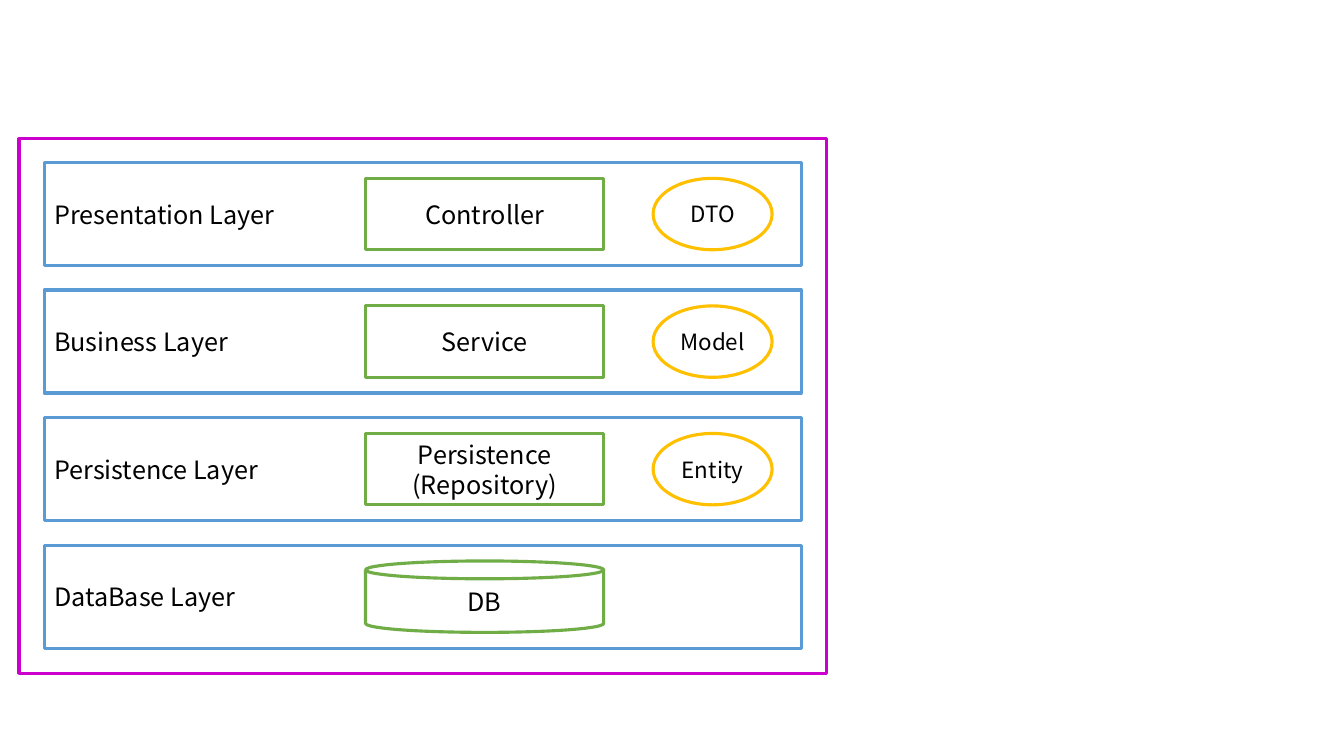
from dataclasses import dataclass

from pptx import Presentation
from pptx.dml.color import RGBColor
from pptx.enum.shapes import MSO_SHAPE
from pptx.enum.text import MSO_ANCHOR, MSO_AUTO_SIZE, PP_ALIGN
from pptx.util import Pt

RECTANGLE, CAN, ELLIPSE = MSO_SHAPE.RECTANGLE, MSO_SHAPE.CAN, MSO_SHAPE.OVAL
LEFT, CENTER = PP_ALIGN.LEFT, PP_ALIGN.CENTER
MIDDLE = MSO_ANCHOR.MIDDLE
SHRINK = MSO_AUTO_SIZE.TEXT_TO_FIT_SHAPE


@dataclass(frozen=True)
class Theme:
    """Colours, font and sizes of the slide."""
    font: str = "Noto Sans CJK KR"
    text: str = "000000"
    surface: str = "FFFFFF"
    frame: str = "CC00CC"
    layer: str = "5B9BD5"
    component: str = "70AD47"
    data: str = "FFC000"
    label_size: float = 18
    data_size: float = 16
    line_width: float = 2.25
    tight_inset: float = 2.83


def write_text(shape, text, *, theme, size, align=CENTER, inset=None, shrink=False):
    """Write one formatted paragraph into a shape."""
    frame = shape.text_frame
    frame.word_wrap = True
    frame.vertical_anchor = MIDDLE
    if shrink:
        frame.auto_size = SHRINK
    if inset is not None:
        frame.margin_left = frame.margin_right = Pt(inset)
        frame.margin_top = frame.margin_bottom = Pt(inset)
    paragraph = frame.paragraphs[0]
    paragraph.text = text
    paragraph.alignment = align
    for run in paragraph.runs:
        run.font.name = theme.font
        run.font.size = Pt(size)
        run.font.color.rgb = RGBColor.from_string(theme.text)


class LayerDiagram:
    """Draws the parts of the layer diagram on one slide."""

    def __init__(self, slide, theme):
        """Keep the slide and its style."""
        self.slide = slide
        self.theme = theme

    def outline(self, kind, box, color, filled=False):
        """Add an outlined shape at box, given in points."""
        shape = self.slide.shapes.add_shape(kind, *(Pt(length) for length in box))
        shape.shadow.inherit = False
        if filled:
            shape.fill.solid()
            shape.fill.fore_color.rgb = RGBColor.from_string(self.theme.surface)
        else:
            shape.fill.background()
        shape.line.color.rgb = RGBColor.from_string(color)
        shape.line.width = Pt(self.theme.line_width)
        return shape

    def frame(self, box):
        """Add the frame around all layers."""
        self.outline(RECTANGLE, box, self.theme.frame)

    def layer(self, text, box):
        """Add a layer band with its name on the left."""
        shape = self.outline(RECTANGLE, box, self.theme.layer)
        write_text(shape, text, theme=self.theme, size=self.theme.label_size, align=LEFT)

    def component(self, text, box):
        """Add a component box."""
        shape = self.outline(RECTANGLE, box, self.theme.component, filled=True)
        write_text(shape, text, theme=self.theme, size=self.theme.label_size,
                   inset=self.theme.tight_inset, shrink=True)

    def database(self, text, box):
        """Add a database cylinder."""
        shape = self.outline(CAN, box, self.theme.component, filled=True)
        write_text(shape, text, theme=self.theme, size=self.theme.label_size)

    def data_object(self, text, box):
        """Add the ellipse of a data object."""
        shape = self.outline(ELLIPSE, box, self.theme.data, filled=True)
        write_text(shape, text, theme=self.theme, size=self.theme.data_size,
                   inset=self.theme.tight_inset)


LAYERS = [
    ("Presentation Layer", "Controller", "DTO"),
    ("Business Layer", "Service", "Model"),
    ("Persistence Layer", "Persistence\n(Repository)", "Entity"),
    ("DataBase Layer", "DB", None),
]
FRAME_BOX = (13.6, 99.2, 576.8, 381.8)
LAYER_LEFT, LAYER_TOP, LAYER_WIDTH, LAYER_HEIGHT = 31.6, 116.1, 540.8, 73.6
LAYER_PITCH = 91.1
COMPONENT_LEFT, COMPONENT_WIDTH = 261.1, 170.1
DATA_LEFT, DATA_WIDTH = 466.5, 85
ITEM_HEIGHT = 51


def main():
    """Build and save the slide."""
    presentation = Presentation()
    presentation.slide_width, presentation.slide_height = Pt(960), Pt(540)
    slide = presentation.slides.add_slide(presentation.slide_layouts[6])
    diagram = LayerDiagram(slide, Theme())

    diagram.frame(FRAME_BOX)
    for index, (layer, component, data_object) in enumerate(LAYERS):
        top = LAYER_TOP + index * LAYER_PITCH
        item_top = top + (LAYER_HEIGHT - ITEM_HEIGHT) / 2
        diagram.layer(layer, (LAYER_LEFT, top, LAYER_WIDTH, LAYER_HEIGHT))
        draw = diagram.component if data_object else diagram.database
        draw(component, (COMPONENT_LEFT, item_top, COMPONENT_WIDTH, ITEM_HEIGHT))
        if data_object:
            diagram.data_object(data_object, (DATA_LEFT, item_top, DATA_WIDTH, ITEM_HEIGHT))

    presentation.save("out.pptx")


main()
